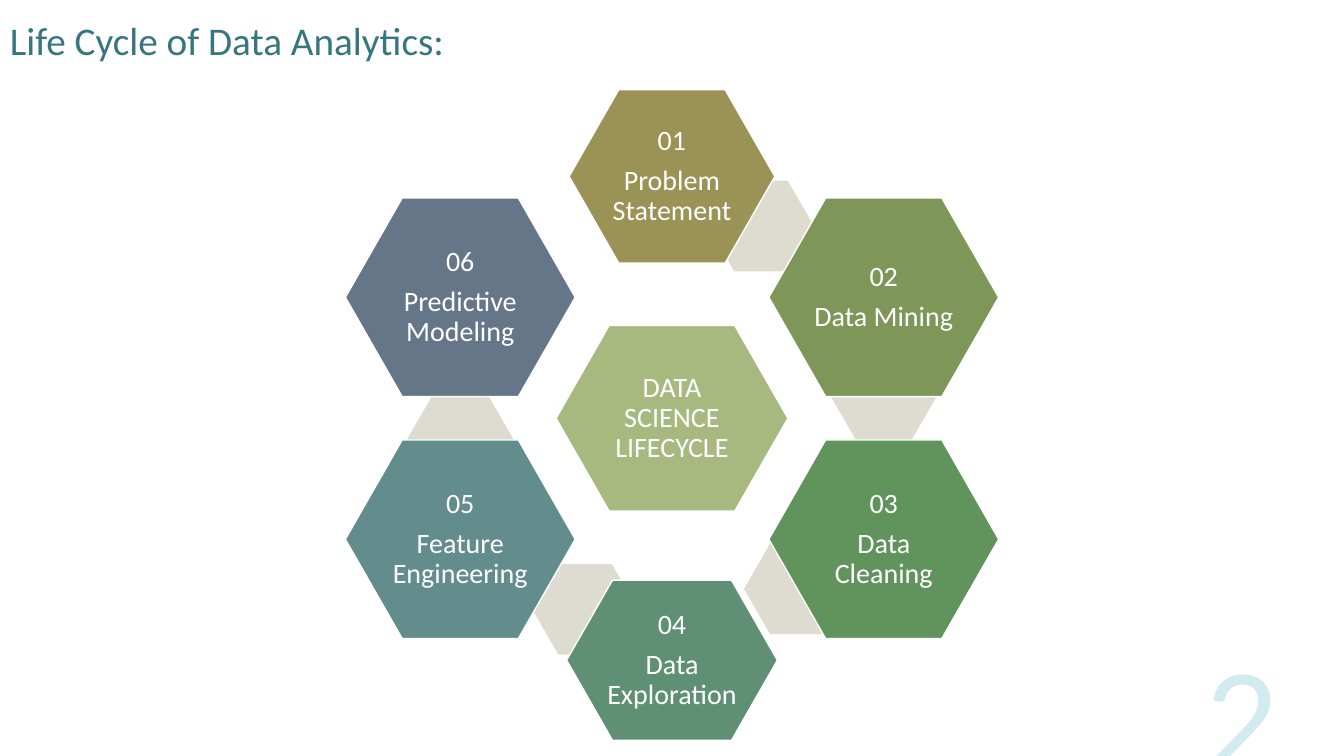
"""Build a slide showing the data analytics life cycle as a ring of hexagons."""
from lxml.etree import SubElement
from pptx import Presentation
from pptx.dml.color import RGBColor as Rgb
from pptx.enum.shapes import MSO_SHAPE as Shape
from pptx.enum.text import MSO_ANCHOR as Anchor, PP_ALIGN as Align
from pptx.oxml.ns import qn
from pptx.util import Inches, Pt

SLIDE_WIDTH, SLIDE_HEIGHT = 13.33, 7.5
CENTRE_X, CENTRE_Y = SLIDE_WIDTH / 2, 4.15
COLUMN, ROW = 2.1, 1.2
FONT = "Calibri"
COLOURS = {
    "white": "FFFFFF", "title": "37757F", "number": "50B4C8",
    "link": "DEDCD1", "hub": "A8B97F", "problem": "9B9256",
    "mining": "7E9759", "cleaning": "60945C", "exploration": "5F9076",
    "feature": "628D8C", "modeling": "657689",
}
HUB_SIZE, LINK_SIZE, SIDE_SIZE = (2.3, 1.84), (1.05, 0.9), (2.28, 1.97)
STAGES = [
    ("Problem Statement", "problem", (0, -2), (2.04, 1.72), (0.42, -1.59)),
    ("Data Mining", "mining", (1, -1), SIDE_SIZE, (1, -0.18)),
    ("Data Cleaning", "cleaning", (1, 1), SIDE_SIZE, (0.59, 1.41)),
    ("Data Exploration", "exploration", (0, 2), (2.09, 1.59), (-0.41, 1.58)),
    ("Feature Engineering", "feature", (-1, 1), SIDE_SIZE, (-1, 0.17)),
    ("Predictive Modeling", "modeling", (-1, -1), SIDE_SIZE, None),
]


def colour(name):
    """Return the named colour."""
    return Rgb.from_string(COLOURS[name])


def add_run(para, text, size, colour_name):
    """Add one styled run to a paragraph."""
    span = para.add_run()
    span.text = text
    span.font.name = FONT
    span.font.size = Pt(size)
    span.font.color.rgb = colour(colour_name)
    return span


def add_hexagon(ring, cell, size, fill, adjust):
    """Add a hexagon centred on a grid cell counted from the hub."""
    width, height = size
    left = CENTRE_X + cell[0] * COLUMN - width / 2
    top = CENTRE_Y + cell[1] * ROW - height / 2
    hexagon = ring.shapes.add_shape(
        Shape.HEXAGON, *map(Inches, (left, top, width, height)))
    hexagon.adjustments[0] = adjust
    hexagon.shadow.inherit = False
    hexagon.fill.solid()
    hexagon.fill.fore_color.rgb = colour(fill)
    hexagon.line.fill.background()
    return hexagon


def add_stage(ring, cell, size, fill, lines):
    """Add an outlined hexagon with centred lines of text."""
    hexagon = add_hexagon(ring, cell, size, fill, 0.286)
    hexagon.line.color.rgb = colour("white")
    hexagon.line.width = Pt(1)
    frame = hexagon.text_frame
    frame.word_wrap = True
    frame.vertical_anchor = Anchor.MIDDLE
    frame.margin_left = frame.margin_right = Inches(0.03)
    frame.margin_top = frame.margin_bottom = Inches(0.03)
    for index, line in enumerate(lines):
        para = frame.add_paragraph() if index else frame.paragraphs[0]
        para.alignment = Align.CENTER
        para.line_spacing = 0.9
        para.space_after = Pt(7)
        add_run(para, line, 20, "white")


def add_label(page, place, text, size, colour_name, align, anchor):
    """Add a one-line text box and return its run."""
    box = page.shapes.add_textbox(*map(Inches, place))
    frame = box.text_frame
    frame.word_wrap = True
    frame.vertical_anchor = anchor
    para = frame.paragraphs[0]
    para.alignment = align
    return add_run(para, text, size, colour_name)


def add_page_number(page):
    """Add the large translucent page number."""
    span = add_label(page, (9.58, 6.43, 3.2, 1.53), "2", 103, "number",
                     Align.RIGHT, Anchor.BOTTOM)
    tint = span.font.fill._xPr.find(qn("a:solidFill"))[0]
    SubElement(tint, qn("a:alpha")).set("val", "25000")


def add_cycle(page):
    """Add the hub, the six stages and the links between them."""
    ring = page.shapes.add_group_shape()
    add_stage(ring, (0, 0), HUB_SIZE, "hub", ["DATA SCIENCE LIFECYCLE"])
    for number, (name, fill, cell, size, link) in enumerate(STAGES, 1):
        if link:
            add_hexagon(ring, link, LINK_SIZE, "link", 0.289)
        add_stage(ring, cell, size, fill, [f"{number:02}", name])


def main():
    """Build and save the deck."""
    deck = Presentation()
    deck.slide_width = Inches(SLIDE_WIDTH)
    deck.slide_height = Inches(SLIDE_HEIGHT)
    page = deck.slides.add_slide(deck.slide_layouts[6])
    add_page_number(page)
    add_cycle(page)
    add_label(page, (0, 0.11, 5.02, 0.62), "Life Cycle of Data Analytics:",
              28, "title", Align.LEFT, Anchor.TOP).font.bold = False
    deck.save("out.pptx")


if __name__ == "__main__":
    main()
